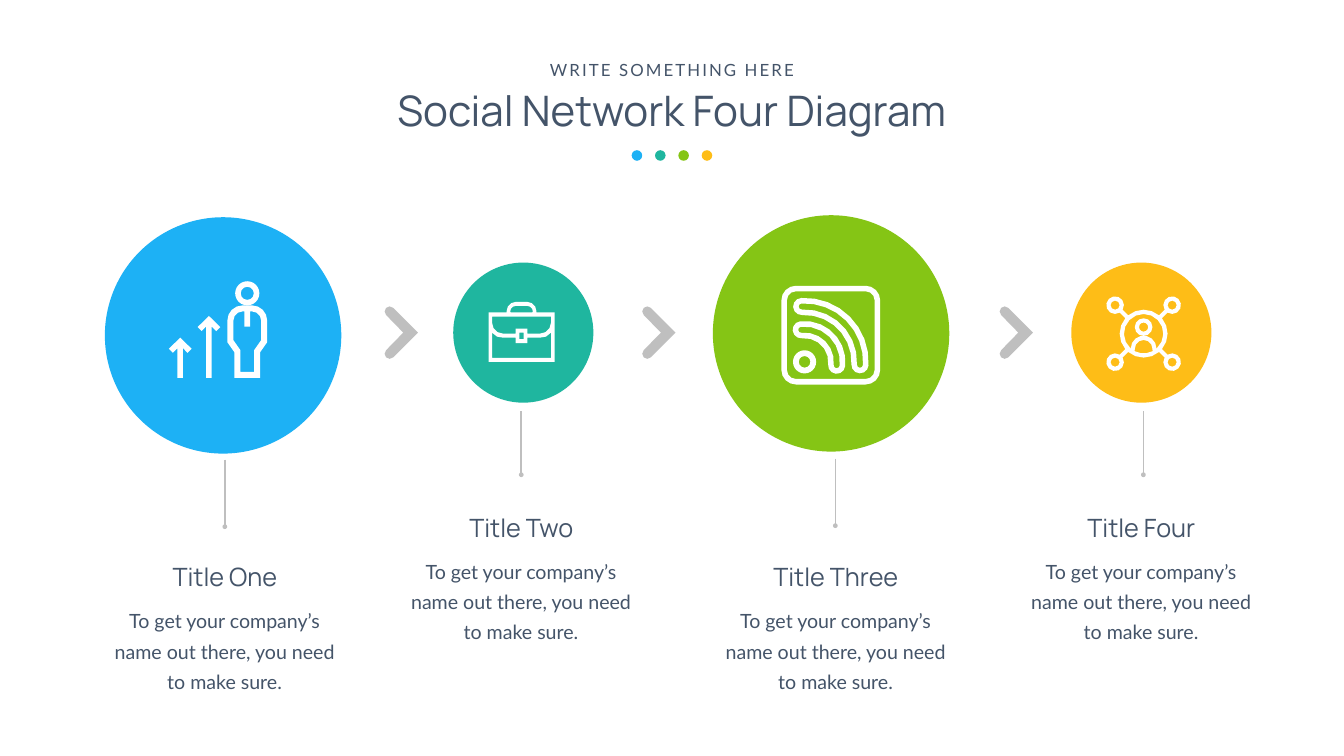
import math
import lxml.etree
import pptx
import pptx.dml.color
import pptx.enum.shapes
import pptx.enum.text
import pptx.oxml.ns
import pptx.util

INK, GREY, WHITE = "445469", "BFBFBF", "FFFFFF"
BLUE, TEAL, GREEN, GOLD = "1DB1F5", "1FB69F", "85C515", "FEBD17"
HEAD = {"name": "Manrope", "size": pptx.util.Pt(60)}
TOP = {"name": "Lato", "size": pptx.util.Pt(24)}
TITLE = {"name": "Manrope", "size": pptx.util.Pt(36)}
BODY = {"name": "Lato", "size": pptx.util.Pt(28)}
SLACK = 0.008  # greatest gap between an arc and its chords, in inches


def inch(value):
    return pptx.util.Cm(value * 2.54)


def tint(code):
    return pptx.dml.color.RGBColor.from_string(code)


def paint(shape, code):
    shape.shadow.inherit = False
    shape.fill.solid()
    shape.fill.fore_color.rgb = tint(code)
    shape.line.fill.background()


def disc(slide, x, y, size, code):
    oval = pptx.enum.shapes.MSO_SHAPE.OVAL
    paint(slide.shapes.add_shape(oval, *map(inch, (x, y, size, size))), code)


def ring(slide, x, y, outer, inner, code):
    """Draw a ring centred on x, y."""
    box = (x - outer, y - outer, 2 * outer, 2 * outer)
    shape = slide.shapes.add_shape(pptx.enum.shapes.MSO_SHAPE.DONUT, *map(inch, box))
    shape.adjustments[0] = (outer - inner) / (2 * outer)
    paint(shape, code)


def trace(slide, x, y, loops, code):
    """Draw closed loops as one outline; inner loops are holes."""
    pen = None
    for loop in loops:
        spots = [(inch(x + px), inch(y + py)) for px, py in loop]
        if pen is None:
            pen = slide.shapes.build_freeform(*spots[0])
        else:
            pen.move_to(*spots[0])
        pen.add_line_segments(spots[1:], close=True)
    paint(pen.convert_to_shape(), code)


def write(slide, box, text, style, pad=0, line=None, space=None, wrap=True):
    frame = slide.shapes.add_textbox(*map(inch, box)).text_frame
    form = {"word_wrap": wrap, "margin_top": inch(pad), "margin_bottom": inch(pad),
            "margin_left": inch(0.05), "margin_right": inch(0.05)}
    for key, value in form.items():
        setattr(frame, key, value)
    para = frame.paragraphs[0]
    para.alignment = pptx.enum.text.PP_ALIGN.CENTER
    if line:
        para.line_spacing = pptx.util.Pt(line)
    run = para.add_run()
    run.text = text
    for key, value in style.items():
        setattr(run.font, key, value)
    run.font.color.rgb = tint(INK)
    if space:
        run.font._element.set("spc", str(space * 100))


# Outline parts
def point(cx, cy, size, turn):
    angle = math.radians(turn)
    return cx + size * math.cos(angle), cy + size * math.sin(angle)


def arc(cx, cy, size, start, end):
    step = math.degrees(2 * math.acos(1 - SLACK / size))
    count = math.ceil(abs(end - start) / step)
    return [point(cx, cy, size, start + (end - start) * i / count) for i in range(count + 1)]


def mirror(half, mid):
    """Complete a loop with its left-right reflection."""
    return half + [(2 * mid - x, y) for x, y in reversed(half)]


def frame(low, high, size):
    ends = (low + size, high - size)
    corners = [(0, 0), (1, 0), (1, 1), (0, 1)]
    return [p for i, (a, b) in enumerate(corners)
            for p in arc(ends[a], ends[b], size, 180 + 90 * i, 270 + 90 * i)]


def band(cx, cy, mid, half, extra):
    """Quarter band with round ends, drawn a little past each end."""
    start, end = -90 - extra, extra
    first, last = point(cx, cy, mid, start), point(cx, cy, mid, end)
    return (arc(cx, cy, mid + half, start, end) + arc(*last, half, end, end + 180)
            + arc(cx, cy, mid - half, end, start) + arc(*first, half, start + 180, start + 360))


# Icons: each returns its rings and its outlines
def growth():
    mid = 1.555
    outer = arc(1.46, 0.78, 0.3, 270, 180) + [(1.16, 1.21), (1.3, 1.41), (1.3, 1.92)]
    inner = ([(1.5, 0.9), (1.5, 0.6)] + arc(1.46, 0.78, 0.18, 270, 180)
             + [(1.28, 1.17), (1.42, 1.37), (1.42, 1.8)])
    shapes = [[mirror(outer, mid), mirror(inner, mid)]]
    for x, y in ((0.57, 0.69), (0, 1.12)):
        half = [(0.225, 0), (0, 0.22), (0.08, 0.3), (0.17, 0.21), (0.17, 1.92 - y)]
        shapes.append([[(x + px, y + py) for px, py in mirror(half, 0.225)]])
    return [(mid, 0.24, 0.24, 0.13)], shapes


def case():
    halves = [
        arc(0.54, 0.18, 0.18, 270, 180) + [(0.36, 0.21), (0, 0.21), (0, 1.19)],
        arc(0.54, 0.19, 0.11, 270, 180) + [(0.44, 0.21)],
        [(0.07, 0.29)] + arc(0.29, 0.41, 0.22, 180, 90) + [(0.54, 0.63), (0.54, 0.53)],
        [(0.07, 1.11), (0.07, 0.61), (0.17, 0.69), (0.29, 0.71), (0.54, 0.71), (0.54, 0.82)],
        [(0.615, 0.61), (0.615, 0.74)],
    ]
    return [], [[mirror(half, 0.655) for half in halves]]


def feed():
    hub = (0.46, 1.51)
    shapes = [[frame(0, 1.96, 0.29), frame(0.11, 1.85, 0.18)]]
    for mid, extra in ((0.64, 6), (1.1, 3)):
        shapes.append([band(*hub, mid, half, extra) for half in (0.17, 0.06)])
    return [(*hub, 0.23, 0.115)], shapes


def network():
    mid, edge, holes = (0.735, 0.74), [], []
    for turn in (45, 135, 225, 315):
        node = point(*mid, 0.8, turn)
        edge += arc(*mid, 0.475, turn - 85, turn - 5)
        edge += arc(*node, 0.175, turn + 193, turn + 527)
        holes.append(arc(*node, 0.09, 0, 360))
    holes.append(arc(*mid, 0.39, 132, 408) + arc(0.735, 1.035, 0.255, 0, -180))
    holes.append(arc(0.735, 1.04, 0.175, 180, 360) + arc(*mid, 0.39, 63, 117))
    return [(0.735, 0.61, 0.175, 0.09)], [[edge] + holes]


# Regions
def header(slide, x, y):
    write(slide, (x, y + 0.55, 15.09, 1.11), "Social Network Four Diagram", HEAD)
    write(slide, (x + 4.98, y, 5.14, 0.5), "WRITE SOMETHING HERE", TOP, 0.05, space=3, wrap=False)
    for i, code in enumerate((BLUE, TEAL, GREEN, GOLD)):
        disc(slide, x + 6.75 + 0.463 * i, y + 1.85, 0.21, code)


def chevron(slide, x, y):
    loop = ([(0.38, 0.53)] + arc(0.11, 0.95, 0.1, 225, 45) + [(0.67, 0.53)]
            + arc(0.11, 0.11, 0.1, 315, 135))
    trace(slide, x, y, [loop], GREY)


def stem(slide, x, y, length):
    kind = pptx.enum.shapes.MSO_CONNECTOR.STRAIGHT
    line = slide.shapes.add_connector(kind, *map(inch, (x, y, x, y + length)))
    line.line.color.rgb = tint(GREY)
    line.line.width = pptx.util.Pt(2.25)
    name = pptx.oxml.ns.qn
    lxml.etree.SubElement(line.line._get_or_add_ln(), name("a:tailEnd"), type="oval")
    lxml.etree.SubElement(line._element.spPr, name("a:effectLst"))


def stage(slide, x, y, size, code, icon, shift, rod, label, title):
    disc(slide, x, y, size, code)
    rings, shapes = icon()
    for loops in shapes:
        trace(slide, x + shift[0], y + shift[1], loops, WHITE)
    for cx, cy, outer, inner in rings:
        ring(slide, x + shift[0] + cx, y + shift[1] + cy, outer, inner, WHITE)
    stem(slide, x + rod[0], y + rod[1], rod[2])
    left, top = x + label[0], y + label[1]
    write(slide, (left + 0.28, top + 0.81, 4.63, 1.85),
          "To get your company’s name out there, you need to make sure.", BODY, 0.03, line=43)
    write(slide, (left, top, 5.2, 0.71), title, TITLE, 0.02)


def main():
    deck = pptx.Presentation()
    deck.slide_width, deck.slide_height = inch(26.66), inch(15)
    slide = deck.slides.add_slide(deck.slide_layouts[6])
    header(slide, 5.78, 1.13)
    for x in (7.62, 12.73, 19.82):
        chevron(slide, x, 6.07)
    # Left, top, size, colour, icon, then offsets of icon, stem and label
    stages = [
        (2.08, 4.31, 4.69, BLUE, growth, (1.27, 1.27), (2.38, 4.81, 1.33), (-0.22, 6.81), "Title One"),
        (8.99, 5.21, 2.78, TEAL, case, (0.7, 0.78), (1.35, 2.95, 1.26), (-1.25, 4.93), "Title Two"),
        (14.14, 4.27, 4.69, GREEN, feed, (1.36, 1.4), (2.43, 4.83, 1.33), (-0.16, 6.85), "Title Three"),
        (21.25, 5.21, 2.78, GOLD, network, (0.7, 0.67), (1.43, 2.95, 1.26), (-1.21, 4.93), "Title Four"),
    ]
    for parts in stages:
        stage(slide, *parts)
    deck.save("out.pptx")


if __name__ == "__main__":
    main()
